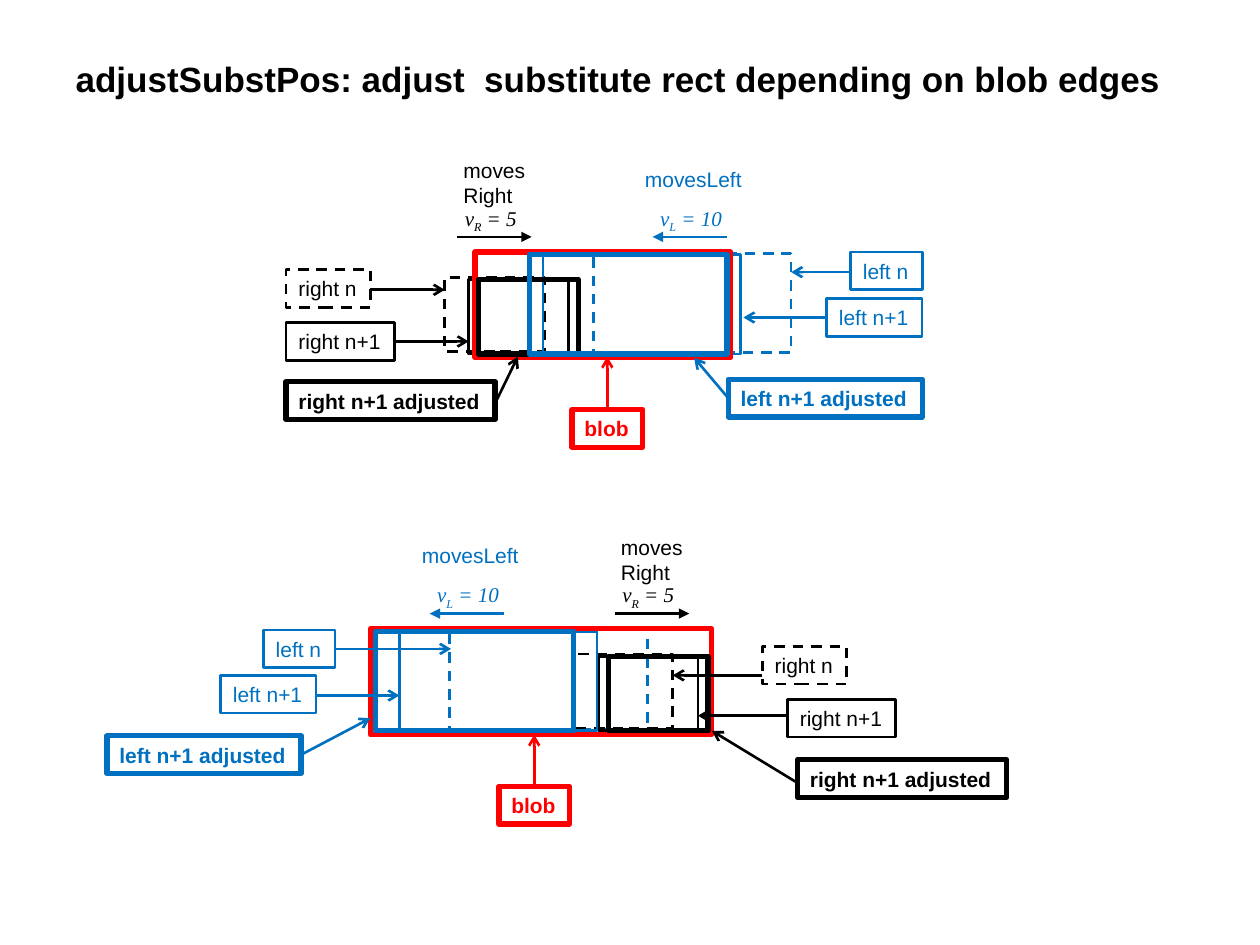
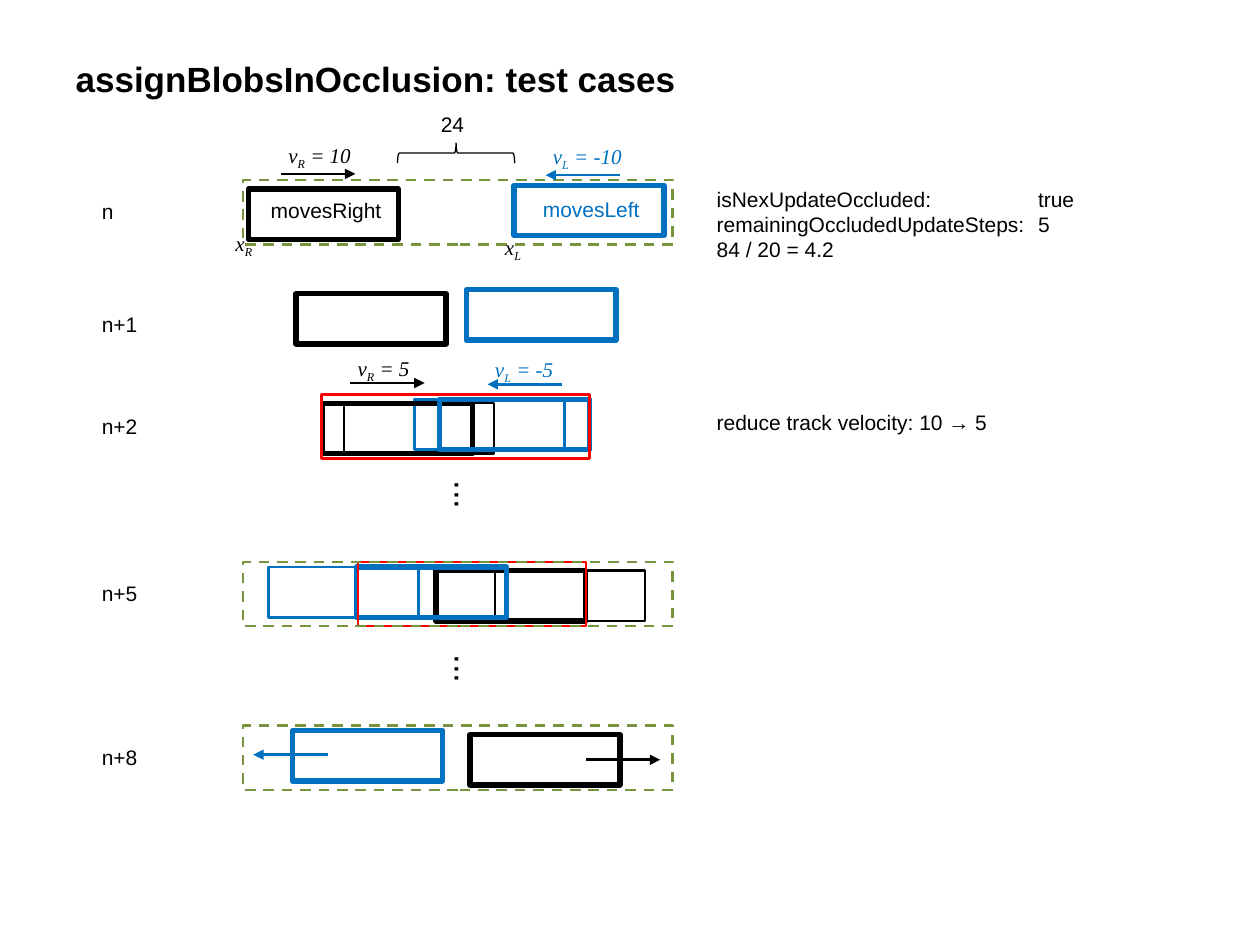
"""Build two slides on tracking rectangles and blobs during occlusion."""
from dataclasses import dataclass
from typing import Optional

from lxml import etree
from pptx import Presentation
from pptx.dml.color import RGBColor
from pptx.enum.dml import MSO_LINE
from pptx.enum.shapes import MSO_CONNECTOR, MSO_SHAPE
from pptx.enum.text import MSO_ANCHOR, MSO_AUTO_SIZE, PP_ALIGN
from pptx.oxml.ns import qn
from pptx.util import Inches, Pt

RECT = MSO_SHAPE.RECTANGLE
BRACE = MSO_SHAPE.RIGHT_BRACE
STRAIGHT = MSO_CONNECTOR.STRAIGHT
DASH = MSO_LINE.DASH
LEFT = PP_ALIGN.LEFT
MIDDLE = MSO_ANCHOR.MIDDLE
GROW = MSO_AUTO_SIZE.SHAPE_TO_FIT_TEXT
FIXED = MSO_AUTO_SIZE.NONE

BLACK, BLUE, RED, GREEN = "000000", "0070C0", "FF0000", "77933C"
SANS, SERIF = "Arial", "Times New Roman"
THIN, BOLD = 1.5, 3
TEXT_H = 0.3
ARROW_LEN = 0.59
LEFT_W, LEFT_H = 1.57, 0.79
RIGHT_W, RIGHT_H = 0.79, 0.59
CAR_W, CAR_H = 1.19, 0.4
FRAME_X, FRAME_W, FRAME_H = 1.93, 3.41, 0.51
NOTE_X, NOTE_W, NOTE_TAB = 5.59, 3.5, 2.55


@dataclass
class LabelStyle:
    width: float
    color: str
    weight: float = THIN
    dash: bool = False


@dataclass
class Callout:
    text: str
    x: float
    y: float
    start: tuple[float, float]
    tip: tuple[float, float]


@dataclass
class Panel:
    top: float
    right_xs: tuple[float, float, float]
    left_xs: tuple[float, float, float]
    merged_x: float
    merged_w: float
    right_arrow: float
    left_arrow: float
    callouts: list[Callout]


@dataclass
class Step:
    name: str
    top: float
    right: float
    left: float
    old: Optional[tuple[float, float]] = None
    merged: Optional[tuple[float, float]] = None
    framed: bool = False
    label_dy: float = 0.1


LABELS = {
    "right n": LabelStyle(0.67, BLACK, dash=True),
    "right n+1": LabelStyle(0.86, BLACK),
    "right n+1 adjusted": LabelStyle(1.66, BLACK, BOLD),
    "left n": LabelStyle(0.57, BLUE),
    "left n+1": LabelStyle(0.76, BLUE),
    "left n+1 adjusted": LabelStyle(1.54, BLUE, BOLD),
    "blob": LabelStyle(0.56, RED, BOLD),
}

PANELS = [
    Panel(2, (3.53, 3.72, 3.8), (4.71, 4.31, 4.2), 3.77, 2.03, 3.63, 5.18, [
        Callout("blob", 4.54, 3.25, (4.82, 3.25), (4.82, 2.83)),
        Callout("right n", 2.27, 2.14, (2.94, 2.3), (3.53, 2.3)),
        Callout("right n+1", 2.27, 2.56, (3.13, 2.71), (3.72, 2.71)),
        Callout("right n+1 adjusted", 2.27, 3.03, (3.94, 3.18), (4.11, 2.83)),
        Callout("left n", 6.75, 2, (6.75, 2.16), (6.28, 2.16)),
        Callout("left n+1", 6.56, 2.37, (6.56, 2.52), (5.9, 2.52)),
        Callout("left n+1 adjusted", 5.78, 3.01, (5.78, 3.16), (5.51, 2.84)),
    ]),
    Panel(4.99, (4.55, 4.75, 4.83), (3.57, 3.17, 2.98), 2.94, 2.71, 4.88, 3.41, [
        Callout("blob", 3.96, 6.24, (4.24, 6.24), (4.24, 5.83)),
        Callout("right n", 6.05, 5.13, (6.05, 5.36), (5.34, 5.36)),
        Callout("right n+1", 6.25, 5.55, (6.25, 5.68), (5.54, 5.68)),
        Callout("right n+1 adjusted", 6.33, 6.03, (6.34, 6.22), (5.65, 5.8)),
        Callout("left n", 2.09, 5, (2.66, 5.15), (3.58, 5.15)),
        Callout("left n+1", 1.75, 5.36, (2.5, 5.52), (3.17, 5.52)),
        Callout("left n+1 adjusted", 0.85, 5.84, (2.39, 5.99), (2.94, 5.7)),
    ]),
]

STEPS = [
    Step("n", 1.43, 1.97, 4.08, framed=True),
    Step("n+1", 2.26, 2.35, 3.7, label_dy=0.16),
    Step("n+2", 3.13, 2.56, 3.49, (2.73, 3.29), (2.55, 2.13)),
    Step("n+5", 4.46, 3.46, 2.83, (3.93, 2.13), (2.84, 1.81), True),
    Step("n+8", 5.76, 3.73, 2.32, framed=True),
]


def rgb(color: str) -> RGBColor:
    return RGBColor.from_string(color)


def set_font(p, color: str, size: float = 12, name: str = SANS,
             bold: bool = False, italic: bool = False) -> None:
    p.alignment = LEFT
    f = p.font
    f.name, f.size, f.bold, f.italic = name, Pt(size), bold, italic
    f.color.rgb = rgb(color)


def add_outline(slide, x: float, y: float, w: float, h: float, color: str,
                weight: float = THIN, dash: bool = False, kind=RECT):
    sp = slide.shapes.add_shape(kind, Inches(x), Inches(y), Inches(w), Inches(h))
    sp.shadow.inherit = False
    sp.fill.background()
    sp.line.color.rgb = rgb(color)
    sp.line.width = Pt(weight)
    if dash:
        sp.line.dash_style = DASH
    return sp


def add_arrow(slide, start: tuple[float, float], tip: tuple[float, float],
              color: str, head: str = "arrow") -> None:
    ends = [Inches(v) for v in (*start, *tip)]
    sp = slide.shapes.add_connector(STRAIGHT, *ends)
    sp.line.color.rgb = rgb(color)
    sp.line.width = Pt(THIN)
    sp_pr = sp.element.spPr
    etree.SubElement(sp_pr.find(qn("a:ln")), qn("a:tailEnd"), type=head)
    etree.SubElement(sp_pr, qn("a:effectLst"))


def add_box(slide, x: float, y: float, w: float, h: float = TEXT_H, wrap: bool = False):
    sp = slide.shapes.add_textbox(Inches(x), Inches(y), Inches(w), Inches(h))
    sp.text_frame.word_wrap = wrap
    sp.text_frame.auto_size = GROW
    return sp


def add_text(slide, text: str, x: float, y: float, w: float, h: float = TEXT_H,
             color: str = BLACK, size: float = 12):
    sp = add_box(slide, x, y, w, h)
    p = sp.text_frame.paragraphs[0]
    p.text = text
    set_font(p, color, size)
    return sp


def add_formula(slide, parts: tuple[str, ...], x: float, y: float, w: float,
                color: str = BLACK) -> None:
    p = add_box(slide, x, y, w).text_frame.paragraphs[0]
    for i, part in enumerate(parts):
        r = p.add_run()
        r.text = part
        if i == 1:
            r._r.get_or_add_rPr().set("baseline", "-25000")
    set_font(p, color, name=SERIF, italic=True)


def add_motion(slide, side: str, speed: int, x: float, y: float, w: float,
               gap: float = 0.3) -> None:
    color = BLUE if side == "L" else BLACK
    ends = [(x, y), (x + ARROW_LEN, y)]
    if side == "L":
        ends.reverse()
    add_arrow(slide, *ends, color, "triangle")
    add_formula(slide, ("v", side, f" = {speed}"), x - 0.04, y - gap, w, color)


def add_note(slide, lines: list[str], y: float, h: float) -> None:
    tf = add_box(slide, NOTE_X, y, NOTE_W, h, wrap=True).text_frame
    for i, line in enumerate(lines):
        p = tf.add_paragraph() if i else tf.paragraphs[0]
        p.text = line
        set_font(p, BLACK)
        tabs = etree.Element(qn("a:tabLst"))
        etree.SubElement(tabs, qn("a:tab"), pos=str(Inches(NOTE_TAB)), algn="l")
        p._p.get_or_add_pPr().insert(0, tabs)


def add_callout(slide, c: Callout) -> None:
    st = LABELS[c.text]
    sp = add_outline(slide, c.x, c.y, st.width, TEXT_H, st.color, st.weight, st.dash)
    tf = sp.text_frame
    tf.word_wrap = False
    tf.auto_size = GROW
    p = tf.paragraphs[0]
    p.text = c.text
    set_font(p, st.color, bold=st.weight == BOLD)
    add_arrow(slide, c.start, c.tip, st.color)


def add_panel(slide, panel: Panel) -> None:
    top = panel.top
    (r_old, r_new, r_fit), (l_old, l_new, l_fit) = panel.right_xs, panel.left_xs
    add_outline(slide, l_old, top + 0.01, LEFT_W, LEFT_H, BLUE, dash=True)
    add_outline(slide, r_old, top + 0.2, RIGHT_W, RIGHT_H, BLACK, dash=True)
    add_motion(slide, "R", 5, panel.right_arrow, top - 0.12, 0.62)
    add_motion(slide, "L", 10, panel.left_arrow, top - 0.12, 0.72)
    add_text(slide, "moves\nRight", panel.right_arrow - 0.05, top - 0.8, 0.7, 0.5)
    add_text(slide, "movesLeft", panel.left_arrow - 0.16, top - 0.73, 0.98, color=BLUE)
    add_outline(slide, r_new, top + 0.22, RIGHT_W, RIGHT_H, BLACK)
    add_outline(slide, l_new, top + 0.02, LEFT_W, LEFT_H, BLUE)
    add_outline(slide, panel.merged_x, top, panel.merged_w, 0.84, RED, BOLD)
    add_outline(slide, r_fit, top + 0.22, RIGHT_W, RIGHT_H, BLACK, BOLD)
    add_outline(slide, l_fit, top + 0.02, LEFT_W, LEFT_H, BLUE, BOLD)
    for c in panel.callouts:
        add_callout(slide, c)


def add_step(slide, step: Step) -> None:
    add_text(slide, step.name, 0.71, step.top + step.label_dy,
             0.29 if step.name == "n" else 0.49)
    pairs = [(step.old, THIN)] if step.old else []
    for (right, left), weight in pairs + [((step.right, step.left), BOLD)]:
        add_outline(slide, right, step.top + 0.07, CAR_W, CAR_H, BLACK, weight)
        add_outline(slide, left, step.top + 0.04, CAR_W, CAR_H, BLUE, weight)
    if step.merged:
        x, w = step.merged
        add_outline(slide, x, step.top, w, FRAME_H, RED)
    if step.framed:
        add_outline(slide, FRAME_X, step.top, FRAME_W, FRAME_H, GREEN, dash=True)


def add_slide(prs, title: str):
    s = prs.slides.add_slide(prs.slide_layouts[5])
    sp = s.shapes.title
    sp.left, sp.top, sp.width, sp.height = (Inches(v) for v in (0.5, 0.3, 9, 0.65))
    tf = sp.text_frame
    tf.vertical_anchor = MIDDLE
    tf.auto_size = FIXED
    p = tf.paragraphs[0]
    p.text = title
    set_font(p, BLACK, 20, bold=True)
    return s


def build_adjust(prs) -> None:
    s = add_slide(prs, "adjustSubstPos: adjust  substitute rect depending on blob edges")
    for panel in PANELS:
        add_panel(s, panel)


def build_cases(prs) -> None:
    s = add_slide(prs, "assignBlobsInOcclusion: test cases")
    for step in STEPS:
        add_step(s, step)
    add_motion(s, "R", 10, 2.23, 1.38, 0.71)
    add_motion(s, "L", -10, 4.33, 1.39, 0.76)
    add_motion(s, "R", 5, 2.78, 3.04, 0.63, 0.27)
    add_motion(s, "L", -5, 3.87, 3.05, 0.68, 0.27)
    add_formula(s, ("x", "R"), 1.77, 1.78, 0.35)
    add_formula(s, ("x", "L"), 3.91, 1.81, 0.34)
    add_text(s, "movesRight", 2.05, 1.52, 1.09)
    add_text(s, "movesLeft", 4.21, 1.51, 0.98, color=BLUE)
    add_text(s, "24", 3.4, 0.84, 0.39)
    add_outline(s, 3.54, 0.75, 0.16, 0.93, BLACK, 0.75, kind=BRACE).rotation = 270
    for y in (3.71, 5.09):
        add_text(s, "...", 3.5, y, 0.43, 0.44, size=20).rotation = 90
    add_arrow(s, (2.6, 5.99), (2.01, 5.99), BLUE, "triangle")
    add_arrow(s, (4.65, 6.03), (5.24, 6.03), BLACK, "triangle")
    add_note(s, ["isNexUpdateOccluded:\ttrue", "remainingOccludedUpdateSteps:\t5",
                 "84 / 20 = 4.2"], 1.43, 0.71)
    add_note(s, ["reduce track velocity: 10 → 5"], 3.2, TEXT_H)


def main() -> None:
    prs = Presentation()
    prs.slide_width, prs.slide_height = Inches(10), Inches(7.5)
    build_adjust(prs)
    build_cases(prs)
    prs.save("out.pptx")


main()
